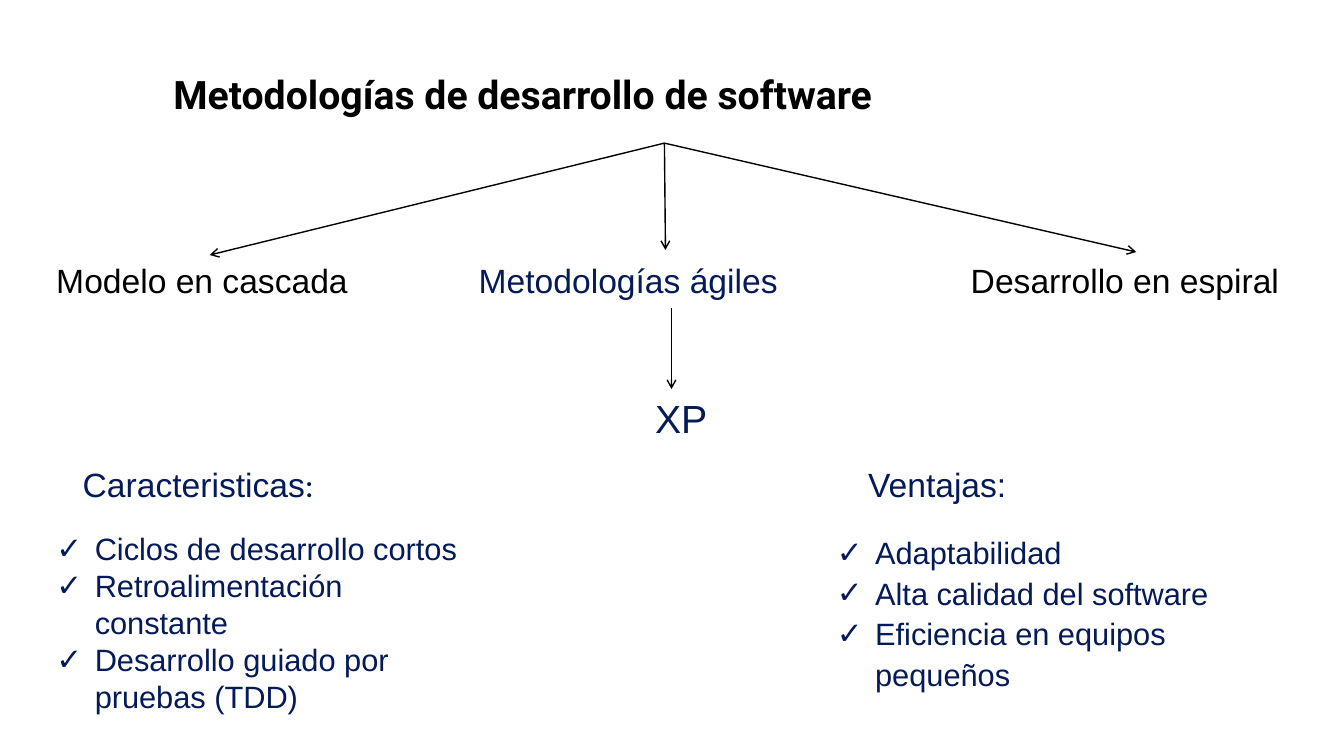
from lxml import etree
from pptx import Presentation
from pptx.dml.color import RGBColor
from pptx.enum.shapes import MSO_CONNECTOR
from pptx.enum.text import MSO_ANCHOR, MSO_AUTO_SIZE, PP_ALIGN
from pptx.oxml.ns import qn
from pptx.util import Inches, Pt

BLACK = RGBColor(0x00, 0x00, 0x00)
NAVY = RGBColor(0x04, 0x1A, 0x59)
STRAIGHT = MSO_CONNECTOR.STRAIGHT
TOP, MIDDLE = MSO_ANCHOR.TOP, MSO_ANCHOR.MIDDLE
LEFT = PP_ALIGN.LEFT
NO_AUTOFIT = MSO_AUTO_SIZE.NONE
COMPARISON_LAYOUT = 4
TOP_SIDE, BOTTOM_SIDE = 0, 2


def set_all(target, values):
    for name, value in values.items():
        setattr(target, name, value)


class MethodologySlide:
    """Holds the text style and the slide being filled."""

    font = "Arial"
    bullet = "✓"
    bullet_indent = Inches(0.38)

    def __init__(self, presentation):
        layout = presentation.slide_layouts[COMPARISON_LAYOUT]
        self.slide = presentation.slides.add_slide(layout)

    def place(self, shape, box, anchor=TOP):
        names = ("left", "top", "width", "height")
        set_all(shape, dict(zip(names, map(Inches, box))))
        set_all(shape.text_frame, {
            "word_wrap": True, "auto_size": NO_AUTOFIT, "vertical_anchor": anchor})

    def add_text(self, paragraph, text, size, color, font=None, bold=False, spacing=1.0):
        set_all(paragraph, {
            "alignment": LEFT, "line_spacing": spacing,
            "space_before": Pt(0), "space_after": Pt(0)})
        run = paragraph.add_run()
        run.text = text
        set_all(run.font, {"name": font or self.font, "size": Pt(size), "bold": bold})
        run.font.color.rgb = color

    def title(self, text, box):
        title = self.slide.shapes.title
        self.place(title, box, MIDDLE)
        self.add_text(title.text_frame.paragraphs[0], text, 28, BLACK,
                      font="Roboto", bold=True, spacing=0.9)
        return title

    def label(self, text, box, color, size=24):
        label = self.slide.shapes.add_textbox(0, 0, 0, 0)
        self.place(label, box)
        self.add_text(label.text_frame.paragraphs[0], text, size, color)
        return label

    def heading(self, index, text, box, colon_font=None):
        heading = self.slide.placeholders[index]
        self.place(heading, box)
        paragraph = heading.text_frame.paragraphs[0]
        self.add_text(paragraph, text, 24, NAVY)
        self.add_text(paragraph, ":", 24, NAVY, font=colon_font)

    def checklist(self, index, items, box, spacing):
        checklist = self.slide.placeholders[index]
        self.place(checklist, box)
        frame = checklist.text_frame
        for number, item in enumerate(items):
            paragraph = frame.add_paragraph() if number else frame.paragraphs[0]
            properties = paragraph._p.get_or_add_pPr()
            properties.set("marL", str(self.bullet_indent))
            properties.set("indent", str(-self.bullet_indent))
            etree.SubElement(properties, qn("a:buFont"), typeface=self.font)
            etree.SubElement(properties, qn("a:buChar"), char=self.bullet)
            self.add_text(paragraph, item, 22, NAVY, spacing=spacing)

    def arrow(self, start, end, source=None, target=None):
        """Draw an arrow, joined below source and above target when given."""
        arrow = self.slide.shapes.add_connector(
            STRAIGHT, *map(Inches, start), *map(Inches, end))
        if source is not None:
            arrow.begin_connect(source, BOTTOM_SIDE)
        if target is not None:
            arrow.end_connect(target, TOP_SIDE)
        arrow.line.width = Pt(1)
        arrow.line.color.rgb = BLACK
        etree.SubElement(arrow.line._get_or_add_ln(), qn("a:tailEnd"), type="arrow")
        etree.SubElement(arrow._element.spPr, qn("a:effectLst"))


def main():
    presentation = Presentation()
    presentation.slide_width = Inches(13.33)
    presentation.slide_height = Inches(7.5)
    page = MethodologySlide(presentation)

    title = page.title("Metodologías de desarrollo de software", (1.62, 0.51, 9.94, 0.91))
    waterfall = page.label("Modelo en cascada", (0.46, 2.53, 3.24, 0.55), BLACK)
    page.label("Metodologías ágiles", (4.65, 2.53, 4.47, 0.54), NAVY)
    page.label("Desarrollo en espiral", (9.53, 2.53, 3.44, 0.54), BLACK)
    page.label("XP", (6.4, 3.86, 0.8, 0.8), NAVY, size=28)

    branching = (6.59, 1.42)
    page.arrow(branching, (2.08, 2.53), title, waterfall)
    page.arrow(branching, (6.6, 2.48), title)
    page.arrow(branching, (11.27, 2.5), title)
    page.arrow((6.66, 3.06), (6.66, 3.86))

    page.heading(1, "Caracteristicas", (0.72, 4.55, 4.44, 0.53), colon_font="Calibri")
    page.heading(3, "Ventajas", (8.51, 4.55, 4.44, 0.5))
    features = ["Ciclos de desarrollo cortos", "Retroalimentación constante",
                "Desarrollo guiado por pruebas (TDD)"]
    advantages = ["Adaptabilidad", "Alta calidad del software",
                  "Eficiencia en equipos pequeños"]
    page.checklist(2, features, (0.46, 5.21, 4.44, 2.17), spacing=1.0)
    page.checklist(4, advantages, (8.2, 5.21, 4.44, 2.17), spacing=1.1)

    presentation.save("out.pptx")


if __name__ == "__main__":
    main()
